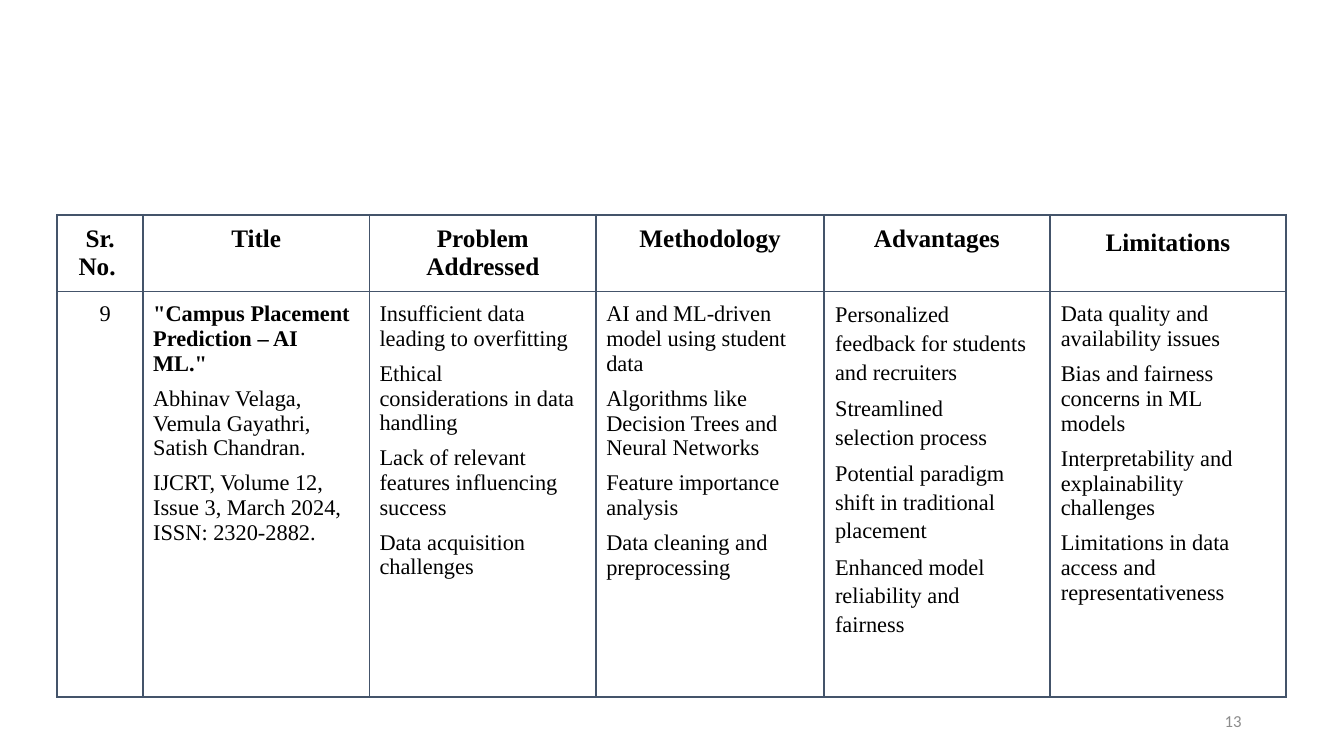
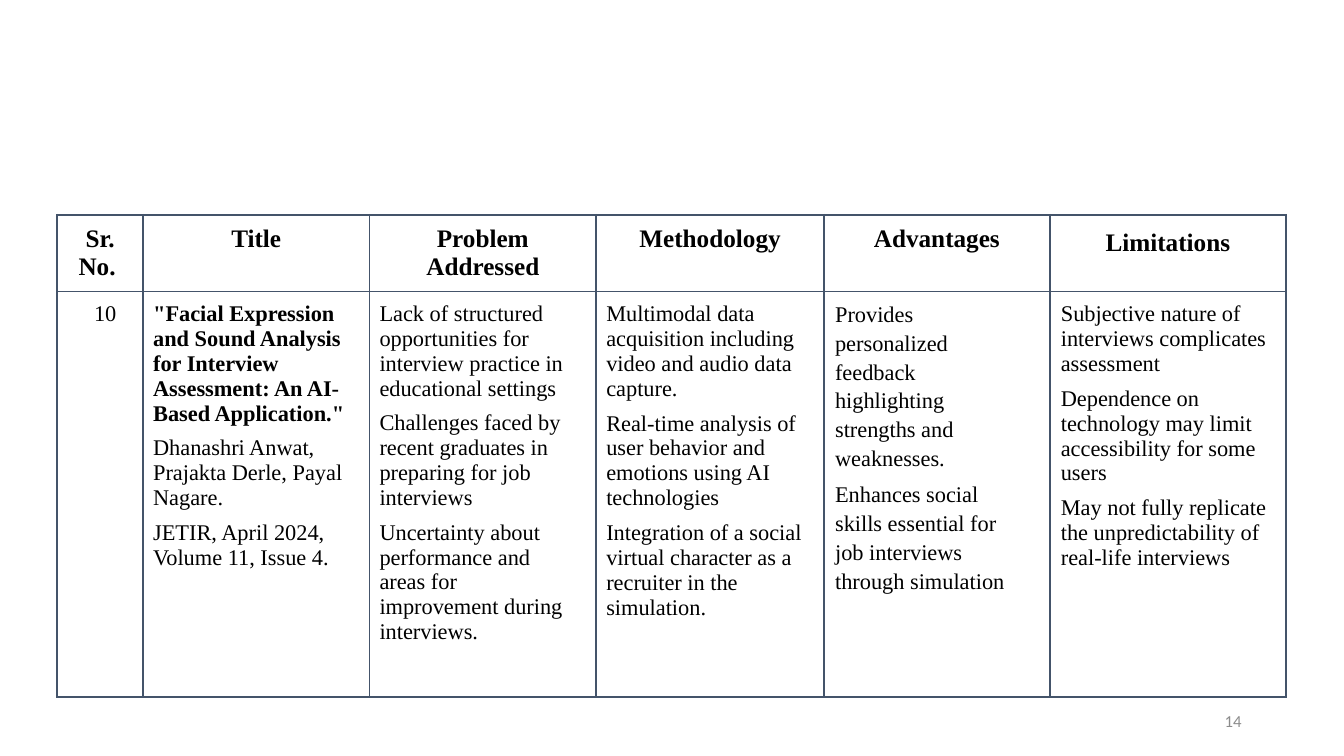
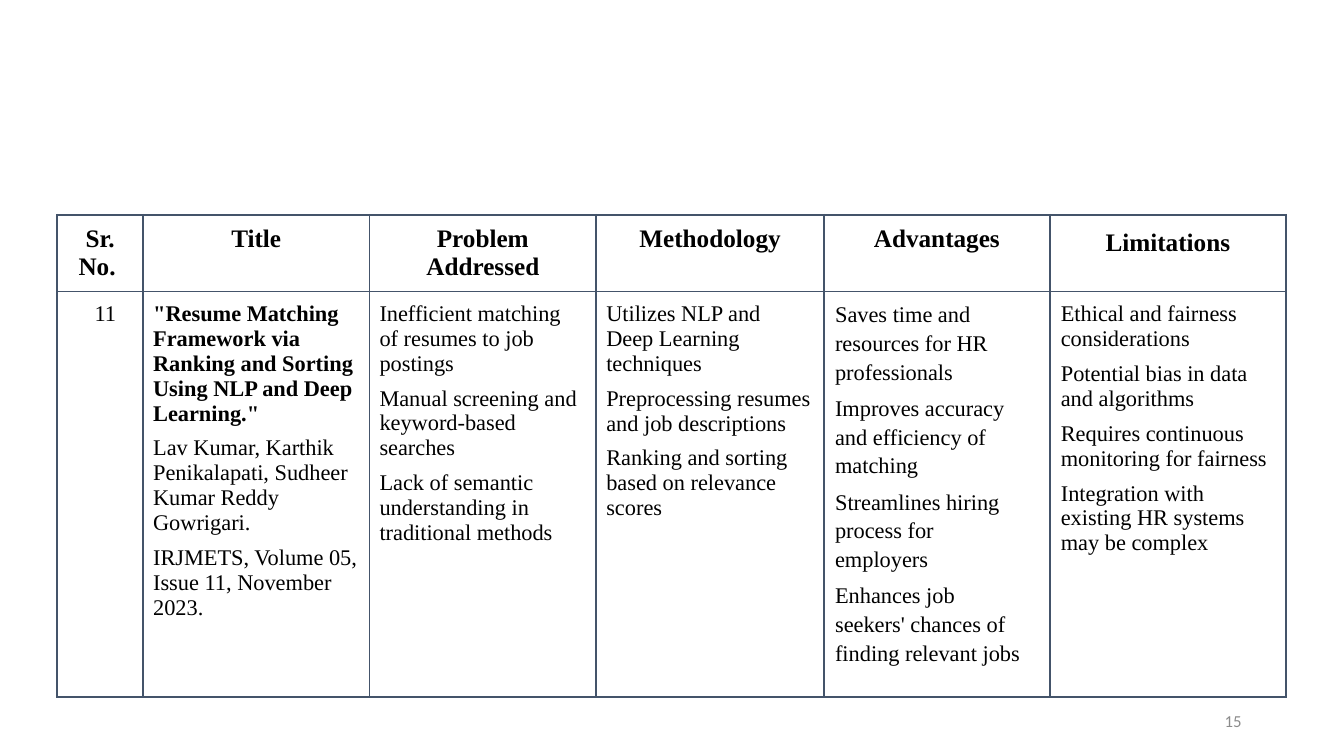
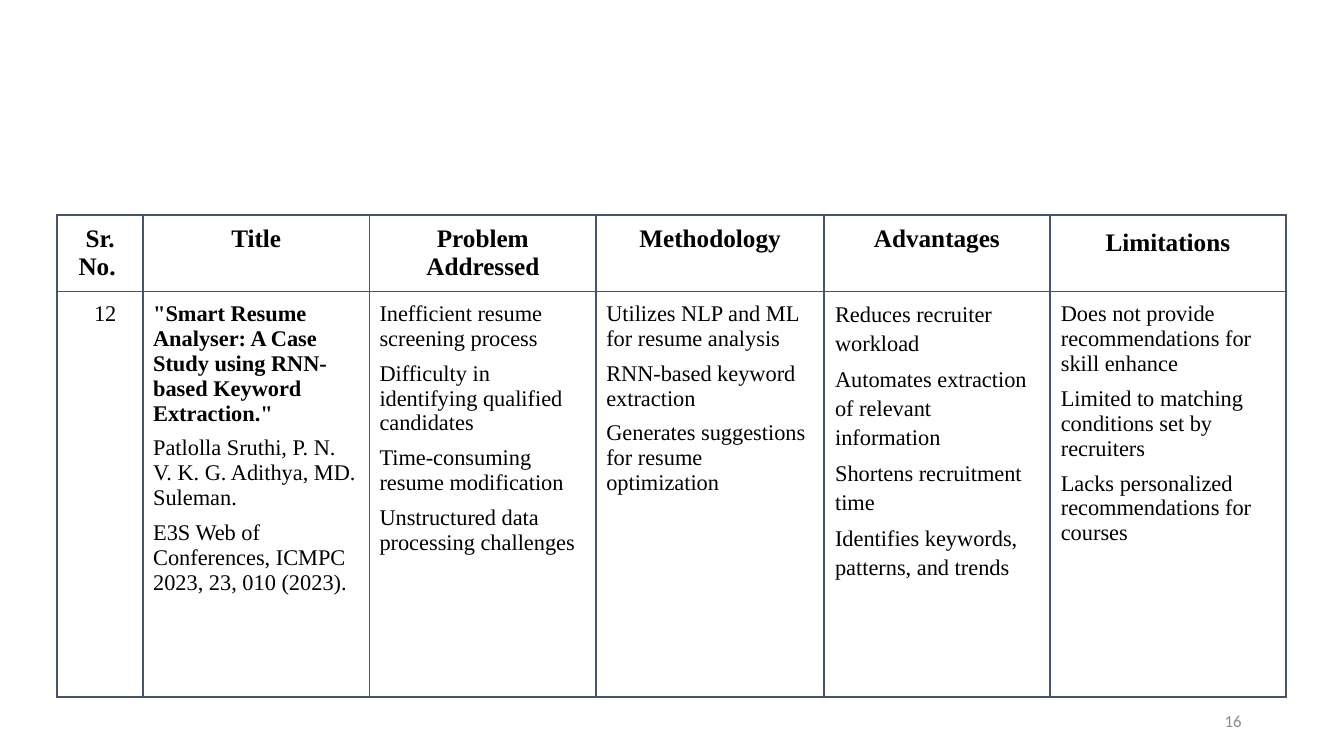
from dataclasses import dataclass

from lxml import etree
from pptx import Presentation
from pptx.dml.color import RGBColor
from pptx.enum.text import MSO_ANCHOR, PP_ALIGN
from pptx.oxml.ns import qn
from pptx.slide import Slide
from pptx.table import _Cell
from pptx.text.text import TextFrame
from pptx.util import Pt

LEFT, CENTER, RIGHT = PP_ALIGN.LEFT, PP_ALIGN.CENTER, PP_ALIGN.RIGHT
MIDDLE = MSO_ANCHOR.MIDDLE

BLACK = RGBColor(0x00, 0x00, 0x00)
WHITE = RGBColor(0xFF, 0xFF, 0xFF)
GREY = RGBColor(0x8C, 0x8C, 0x8C)
SLATE = RGBColor(0x44, 0x54, 0x6A)

SERIF = "Times New Roman"
SANS = "Calibri"

BLANK_LAYOUT = 6
FIRST_SLIDE_NUMBER = 13
TABLE_LEFT, TABLE_TOP = 41, 153.5
HEADER_HEIGHT, BODY_HEIGHT = 54.3, 289.4
HEADER_INSET, HEADER_BOTTOM_INSET = 7.2, 4.3
BORDER_WIDTH = 1.5


@dataclass(frozen=True)
class Narrow:
    text: str
    right_indent: float


Line = str | Narrow


@dataclass(frozen=True)
class Column:
    heading: str
    width: float
    indent: float = 7.2
    right_indent: float = 0
    space_before: float = 7.1
    line_spacing: float = 1.0
    top_inset: float = 7.2
    heading_spacing: float = 1.0
    align: PP_ALIGN = LEFT
    bold_first: bool = False


@dataclass(frozen=True)
class Paper:
    number: int
    title: list[Line]
    problems: list[Line]
    methodology: list[Line]
    advantages: list[Line]
    limitations: list[Line]

    def cells(self) -> list[list[Line]]:
        return [[str(self.number)], self.title, self.problems,
                self.methodology, self.advantages, self.limitations]


COLUMNS = [
    Column("Sr. No. ", 61.2, align=CENTER),
    Column("Title", 161.7, right_indent=8, bold_first=True),
    Column("Problem Addressed", 162, right_indent=12, space_before=7),
    Column("Methodology", 162.72, right_indent=8.2),
    Column("Advantages", 161.28, indent=7.9, right_indent=15.2,
           space_before=5.2, line_spacing=1.16, top_inset=5),
    Column("Limitations", 168.78, indent=7.9, right_indent=12,
           space_before=7.2, heading_spacing=1.15),
]

PAPERS = [
    Paper(
        9,
        [Narrow('"Campus Placement Prediction – AI ML."', 10.5),
         "Abhinav Velaga, Vemula Gayathri, Satish Chandran.",
         "IJCRT, Volume 12, Issue 3, March 2024, ISSN: 2320-2882."],
        ["Insufficient data leading to overfitting",
         Narrow("Ethical considerations in data handling", 15),
         "Lack of relevant features influencing success",
         "Data acquisition challenges"],
        ["AI and ML-driven model using student data",
         "Algorithms like Decision Trees and Neural Networks",
         "Feature importance analysis",
         "Data cleaning and preprocessing"],
        ["Personalized feedback for students and recruiters",
         Narrow("Streamlined selection process", 24),
         "Potential paradigm shift in traditional placement",
         "Enhanced model reliability and fairness"],
        ["Data quality and availability issues",
         "Bias and fairness concerns in ML models",
         "Interpretability and explainability challenges",
         "Limitations in data access and representativeness"],
    ),
    Paper(
        10,
        ['"Facial Expression and Sound Analysis for Interview Assessment: '
         'An AI-Based Application."',
         "Dhanashri Anwat, Prajakta Derle, Payal Nagare.",
         "JETIR, April 2024, Volume 11, Issue 4."],
        ["Lack of structured opportunities for interview practice in "
         "educational settings",
         "Challenges faced by recent graduates in preparing for job interviews",
         "Uncertainty about performance and areas for improvement during "
         "interviews."],
        ["Multimodal data acquisition including video and audio data capture.",
         "Real-time analysis of user behavior and emotions using AI technologies",
         "Integration of a social virtual character as a recruiter in the "
         "simulation."],
        ["Provides personalized feedback highlighting strengths and weaknesses.",
         Narrow("Enhances social skills essential for job interviews through "
                "simulation", 29)],
        ["Subjective nature of interviews complicates assessment",
         "Dependence on technology may limit accessibility for some users",
         "May not fully replicate the unpredictability of real-life interviews"],
    ),
    Paper(
        11,
        ['"Resume Matching Framework via Ranking and Sorting Using NLP and '
         'Deep Learning."',
         "Lav Kumar, Karthik Penikalapati, Sudheer Kumar Reddy Gowrigari.",
         "IRJMETS, Volume 05, Issue 11, November 2023."],
        ["Inefficient matching of resumes to job postings",
         "Manual screening and keyword-based searches",
         "Lack of semantic understanding in traditional methods"],
        ["Utilizes NLP and Deep Learning techniques",
         "Preprocessing resumes and job descriptions",
         "Ranking and sorting based on relevance scores"],
        ["Saves time and resources for HR professionals",
         "Improves accuracy and efficiency of matching",
         "Streamlines hiring process for employers",
         "Enhances job seekers' chances of finding relevant jobs"],
        ["Ethical and fairness considerations",
         "Potential bias in data and algorithms",
         "Requires continuous monitoring for fairness",
         "Integration with existing HR systems may be complex"],
    ),
    Paper(
        12,
        ['"Smart Resume Analyser: A Case Study using RNN-based Keyword '
         'Extraction."',
         "Patlolla Sruthi, P. N. V. K. G. Adithya, MD. Suleman.",
         "E3S Web of Conferences, ICMPC 2023, 23, 010 (2023)."],
        ["Inefficient resume screening process",
         "Difficulty in identifying qualified candidates",
         "Time-consuming resume modification",
         "Unstructured data processing challenges"],
        ["Utilizes NLP and ML for resume analysis",
         "RNN-based keyword extraction",
         "Generates suggestions for resume optimization"],
        ["Reduces recruiter workload",
         "Automates extraction of relevant information",
         "Shortens recruitment time",
         "Identifies keywords, patterns, and trends"],
        ["Does not provide recommendations for skill enhance",
         "Limited to matching conditions set by recruiters",
         "Lacks personalized recommendations for courses"],
    ),
]


def write_text(frame: TextFrame, lines: list[Line], *, size: float,
               font: str = SERIF, color: RGBColor = BLACK,
               bold: bool = False, bold_first: bool = False,
               align: PP_ALIGN = LEFT, indent: float = 0,
               right_indent: float = 0, space_before: float = 0,
               line_spacing: float = 1.0) -> None:
    for index, entry in enumerate(lines):
        line = entry if isinstance(entry, Narrow) else Narrow(entry, right_indent)
        paragraph = frame.add_paragraph() if index else frame.paragraphs[0]
        paragraph.alignment = align
        paragraph.line_spacing = line_spacing
        paragraph.space_before = Pt(space_before if index else 0)
        properties = paragraph._p.get_or_add_pPr()
        properties.set("marL", str(Pt(indent)))
        properties.set("marR", str(Pt(line.right_indent)))
        properties.set("indent", "0")
        run = paragraph.add_run()
        run.text = line.text
        run.font.name = font
        run.font.size = Pt(size)
        run.font.bold = bold or (bold_first and index == 0)
        run.font.color.rgb = color


def format_cell(cell: _Cell, left: float, top: float, right: float,
                bottom: float) -> None:
    cell.margin_left, cell.margin_top = Pt(left), Pt(top)
    cell.margin_right, cell.margin_bottom = Pt(right), Pt(bottom)
    properties = cell._tc.get_or_add_tcPr()
    for side in ("a:lnL", "a:lnR", "a:lnT", "a:lnB"):
        line = etree.SubElement(properties, qn(side), w=str(Pt(BORDER_WIDTH)))
        fill = etree.SubElement(line, qn("a:solidFill"))
        etree.SubElement(fill, qn("a:srgbClr"), val=str(SLATE))


def add_paper_table(slide: Slide, paper: Paper) -> None:
    width = sum(column.width for column in COLUMNS)
    table = slide.shapes.add_table(
        2, len(COLUMNS), Pt(TABLE_LEFT), Pt(TABLE_TOP), Pt(width),
        Pt(HEADER_HEIGHT + BODY_HEIGHT)).table
    table.first_row = False
    table.horz_banding = False
    table.rows[0].height = Pt(HEADER_HEIGHT)
    table.rows[1].height = Pt(BODY_HEIGHT)
    for index, (column, lines) in enumerate(zip(COLUMNS, paper.cells())):
        table.columns[index].width = Pt(column.width)

        header = table.cell(0, index)
        format_cell(header, HEADER_INSET, HEADER_INSET, HEADER_INSET,
                    HEADER_BOTTOM_INSET)
        header.fill.solid()
        header.fill.fore_color.rgb = WHITE
        write_text(header.text_frame, [column.heading], size=18, bold=True,
                   align=CENTER, line_spacing=column.heading_spacing)

        body = table.cell(1, index)
        format_cell(body, 0, column.top_inset, 0, 0)
        body.fill.background()
        write_text(body.text_frame, lines, size=16, align=column.align,
                   bold_first=column.bold_first, indent=column.indent,
                   right_indent=column.right_indent,
                   space_before=column.space_before,
                   line_spacing=column.line_spacing)


def add_slide_number(slide: Slide, number: int) -> None:
    frame = slide.shapes.add_textbox(
        Pt(678), Pt(500.5), Pt(216), Pt(28.75)).text_frame
    frame.word_wrap = True
    frame.vertical_anchor = MIDDLE
    write_text(frame, [str(number)], size=12, font=SANS, color=GREY,
               align=RIGHT)


def main() -> None:
    presentation = Presentation()
    presentation.slide_width, presentation.slide_height = Pt(960), Pt(540)
    layout = presentation.slide_layouts[BLANK_LAYOUT]
    for number, paper in enumerate(PAPERS, FIRST_SLIDE_NUMBER):
        slide = presentation.slides.add_slide(layout)
        add_slide_number(slide, number)
        add_paper_table(slide, paper)
    presentation.save("out.pptx")


if __name__ == "__main__":
    main()
